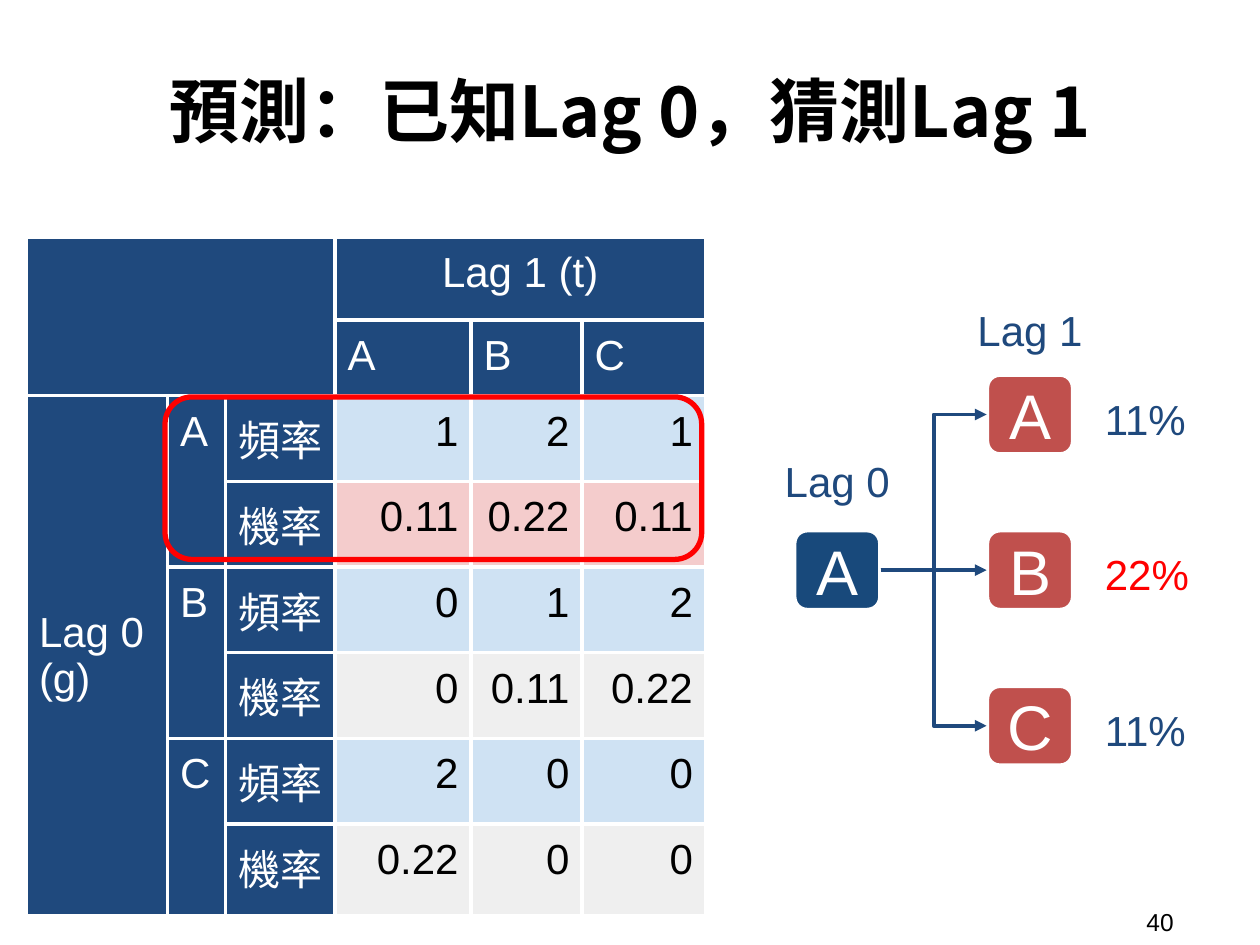
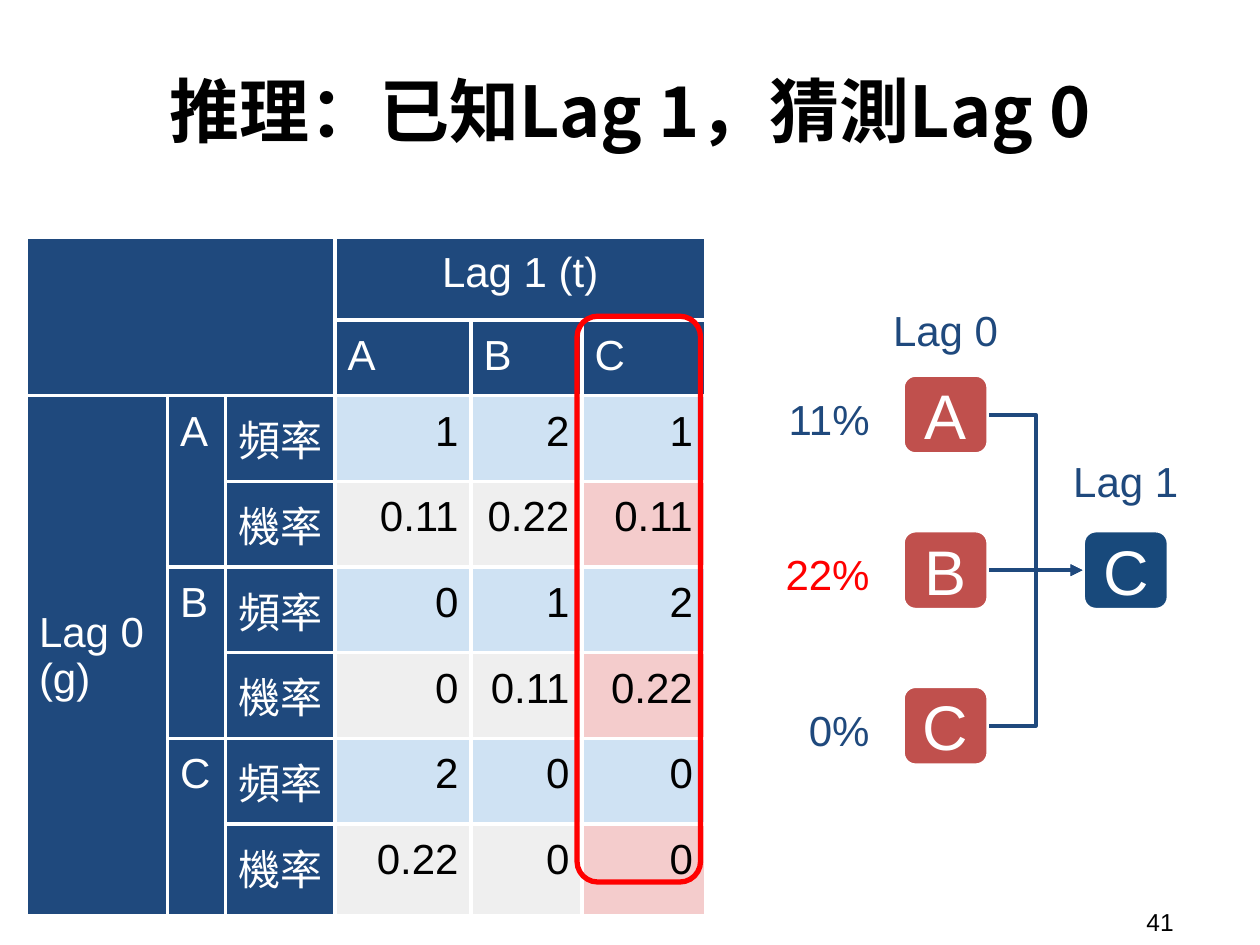
from lxml import etree
from pptx import Presentation
from pptx.dml.color import RGBColor
from pptx.enum.shapes import MSO_CONNECTOR, MSO_SHAPE
from pptx.enum.text import MSO_ANCHOR, PP_ALIGN
from pptx.oxml.ns import qn
from pptx.util import Inches, Pt

LEFT, MID, RIGHT = PP_ALIGN.LEFT, PP_ALIGN.CENTER, PP_ALIGN.RIGHT
TOP, CENTER = MSO_ANCHOR.TOP, MSO_ANCHOR.MIDDLE
ROUND = MSO_SHAPE.ROUNDED_RECTANGLE
ELBOW, STRAIGHT = MSO_CONNECTOR.ELBOW, MSO_CONNECTOR.STRAIGHT

# Shared colours and fonts
NAVY, BLUE, BRICK, RED = "1F497D", "18497B", "C0504D", "FF0000"
WHITE, BLACK = "FFFFFF", "000000"
SKY, GREY, PINK = "CFE2F3", "EFEFEF", "F4CCCC"
SANS, HAN = "Arial", "Noto Sans CJK TC"

# Frequencies and probabilities: one entry per Lag 0 state, columns are Lag 1
STATES = "ABC"
COUNTS = [("1", "2", "1"), ("0", "1", "2"), ("2", "0", "0")]
RATES = [("0.11", "0.22", "0.11"), ("0", "0.11", "0.22"), ("0.22", "0", "0")]
COLS = [1.12, 0.46, 0.87, 1.08, 0.88, 0.98]
ROWS = [0.66, 0.57] + [0.68] * 5 + [0.73]
TABLE_AT = (0.21, 1.88)

# Each slide: known state, guessed states, and the part of the table they use
SLIDES = [
    {
        "title": "預測：已知Lag 0，猜測Lag 1", "page": "40",
        "known": ("A", "Lag 0", 6.3), "guess": ("Lag 1", 7.83),
        "odds": ["11%", "22%", "11%"], "odds_x": 8.67, "align": LEFT,
        "forward": True, "hot": [(0, 0), (0, 1), (0, 2)],
        "ring": (1.31, 3.15, 4.26, 1.29),
    },
    {
        "title": "推理：已知Lag 1，猜測Lag 0", "page": "41",
        "known": ("C", "Lag 1", 8.59), "guess": ("Lag 0", 7.16),
        "odds": ["11%", "22%", "0%"], "odds_x": 5.75, "align": RIGHT,
        "forward": False, "hot": [(0, 2), (1, 2), (2, 2)],
        "ring": (4.58, 2.51, 0.98, 4.49),
    },
]

# Tree geometry
BOX_W, BOX_H, BOX_Y, STEP = 0.69, 0.64, 2.97, 1.235
TAG_W, TAG_H = 1.25, 0.44


def color(code):
    return RGBColor.from_string(code)


def apply(item, values):
    for name, value in values.items():
        setattr(item, name, value)


def margins(side=0.1, edge=0.1):
    return {"margin_left": Inches(side), "margin_right": Inches(side),
            "margin_top": Inches(edge), "margin_bottom": Inches(edge)}


def write(frame, text, size, ink, align=LEFT, face=SANS, bold=False, space=None):
    for i, line in enumerate(text.split("\n")):
        para = frame.add_paragraph() if i else frame.paragraphs[0]
        apply(para, {"alignment": align, "line_spacing": space})
        run = para.add_run()
        run.text = line
        apply(run.font, {"name": face, "size": Pt(size), "bold": bold})
        run.font.color.rgb = color(ink)
        if face == HAN:
            etree.SubElement(run.font._element, qn("a:ea"), typeface=face)


def label(slide, place, text, size=24, ink=NAVY, edge=0.1, **style):
    frame = slide.shapes.add_textbox(*map(Inches, place)).text_frame
    apply(frame, {"word_wrap": True, "vertical_anchor": CENTER, **margins(edge=edge)})
    write(frame, text, size, ink, **style)


def panel(slide, place, line, fill=None):
    shape = slide.shapes.add_shape(ROUND, *map(Inches, place))
    shape.shadow.inherit = False
    shape.line.color.rgb = color(line)
    shape.line.width = Pt(3)
    if fill:
        shape.fill.solid()
        shape.fill.fore_color.rgb = color(fill)
    else:
        shape.fill.background()
    return shape


def state(slide, x, y, name, fill):
    box = panel(slide, (x, y, BOX_W, BOX_H), WHITE, fill)
    apply(box.text_frame, {"word_wrap": True, "vertical_anchor": CENTER, **margins()})
    write(box.text_frame, name, 36, WHITE, align=MID)
    return box


def arrow(slide, start, end):
    kind = STRAIGHT if start.top == end.top else ELBOW
    link = slide.shapes.add_connector(kind, 0, 0, 0, 0)
    link.begin_connect(start, 3)
    link.end_connect(end, 1)
    link.line.color.rgb = color(NAVY)
    link.line.width = Pt(2.25)
    etree.SubElement(link.line._get_or_add_ln(), qn("a:tailEnd"), type="triangle")
    etree.SubElement(link._element.spPr, qn("a:effectLst"))


def paint(cell, fill):
    props = cell._tc.get_or_add_tcPr()
    for side in ("lnL", "lnR", "lnT", "lnB"):
        line = etree.SubElement(props, qn("a:" + side), w=str(Pt(2.25)))
        solid = etree.SubElement(line, qn("a:solidFill"))
        etree.SubElement(solid, qn("a:srgbClr"), val=WHITE)
    cell.fill.solid()
    cell.fill.fore_color.rgb = color(fill)
    apply(cell, {"vertical_anchor": TOP, **margins()})


def matrix(slide, hot):
    size = map(Inches, (*TABLE_AT, sum(COLS), sum(ROWS)))
    table = slide.shapes.add_table(len(ROWS), len(COLS), *size).table
    apply(table, {"first_row": False, "horz_banding": False})
    for col, width in zip(table.columns, COLS):
        col.width = Inches(width)
    for row, height in zip(table.rows, ROWS):
        row.height = Inches(height)
    for cell in table.iter_cells():
        paint(cell, NAVY)

    # Headings
    spans = [(0, 0, 1, 2), (0, 3, 0, 5), (2, 0, 7, 0)]
    spans += [(r, 1, r + 1, 1) for r in (2, 4, 6)]
    for top, left, low, right in spans:
        table.cell(top, left).merge(table.cell(low, right))
    heads = {(0, 3): "Lag 1 (t)", (2, 0): "Lag 0\n(g)"}
    for i, name in enumerate(STATES):
        row = 2 + 2 * i
        heads.update({(1, 3 + i): name, (row, 1): name,
                      (row, 2): "頻率", (row + 1, 2): "機率"})
    for place, text in heads.items():
        align = MID if place == (0, 3) else LEFT
        write(table.cell(*place).text_frame, text, 24, WHITE, align)
    table.cell(2, 0).vertical_anchor = CENTER

    # Values
    for i, pair in enumerate(zip(COUNTS, RATES)):
        for k, values in enumerate(pair):
            for j, value in enumerate(values):
                cell = table.cell(2 + 2 * i + k, 3 + j)
                shade = PINK if (i, j) in hot else GREY
                cell.fill.fore_color.rgb = color(shade if k else SKY)
                write(cell.text_frame, value, 24, BLACK, RIGHT)


def tree(slide, data):
    name, lag, x = data["known"]
    root = state(slide, x, BOX_Y + STEP, name, BLUE)
    tags = [(lag, x, BOX_Y + STEP)]
    lag, x = data["guess"]
    tags.append((lag, x, BOX_Y))
    for i, (name, odds) in enumerate(zip(STATES, data["odds"])):
        y = BOX_Y + i * STEP
        leaf = state(slide, x, y, name, BRICK)
        arrow(slide, *((root, leaf) if data["forward"] else (leaf, root)))
        label(slide, (data["odds_x"], y + 0.1, TAG_W, TAG_H), odds,
              ink=RED if odds == "22%" else NAVY, align=data["align"], space=1.15)
    for text, x, y in tags:
        place = (x + (BOX_W - TAG_W) / 2, y - 0.64 if y > BOX_Y else y - 0.6, TAG_W, TAG_H)
        label(slide, place, text, align=MID, space=1.15)


def main():
    deck = Presentation()
    apply(deck, {"slide_width": Inches(10), "slide_height": Inches(7.5)})
    for data in SLIDES:
        slide = deck.slides.add_slide(deck.slide_layouts[6])
        label(slide, (0.52, 0.19, 8.96, 1.36), data["title"], 40, BLACK,
              align=MID, face=HAN, bold=True)
        label(slide, (9, 7.17, 0.92, 0.29), data["page"], 14, BLACK, edge=0.05)
        matrix(slide, data["hot"])
        tree(slide, data)
        panel(slide, data["ring"], RED)
    deck.save("out.pptx")


if __name__ == "__main__":
    main()
